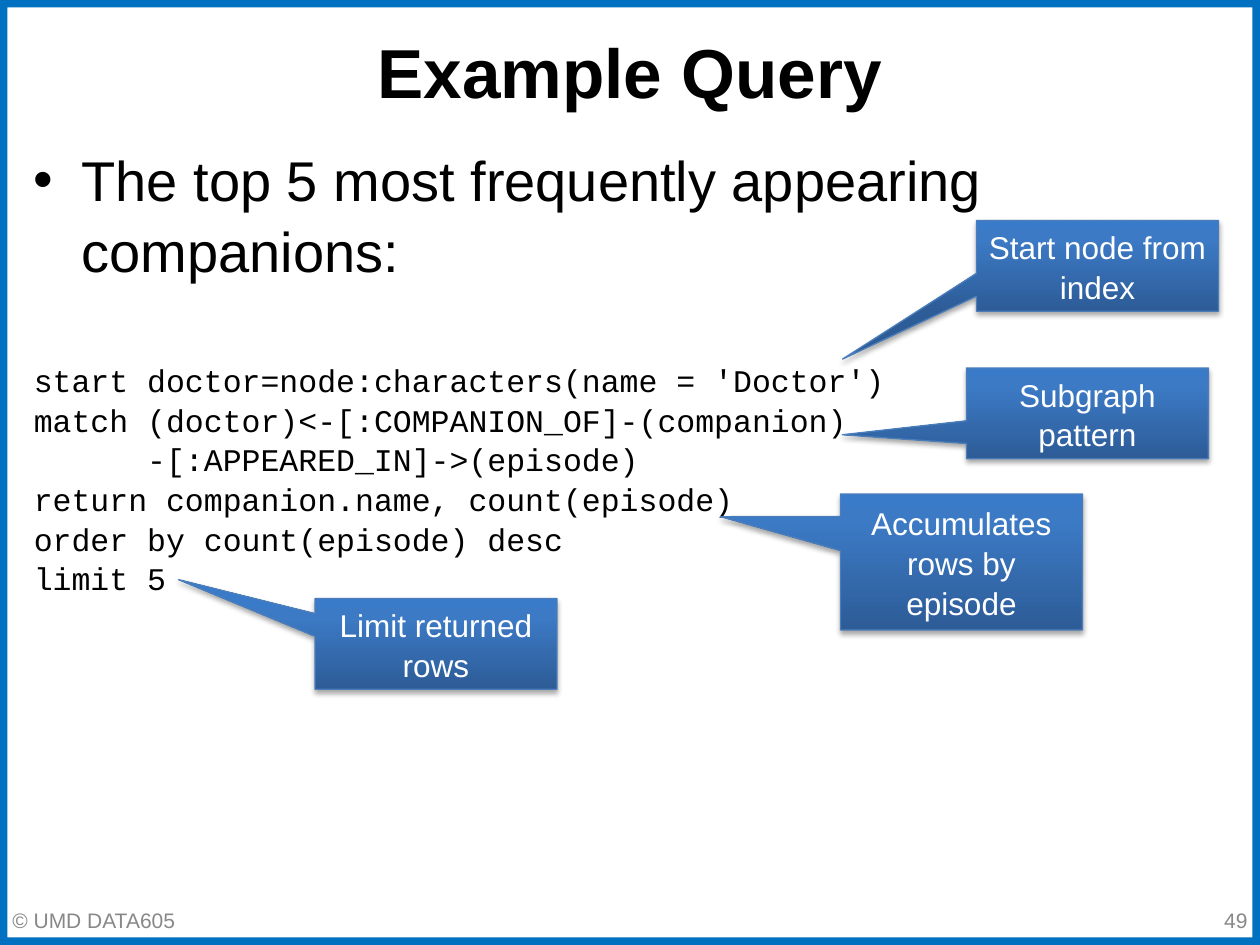
from lxml import etree
from pptx import Presentation
from pptx import util as u
from pptx.dml.color import RGBColor
from pptx.enum import shapes, text
from pptx.oxml import parse_xml
from pptx.oxml.ns import nsdecls, qn

WIDTH, HEIGHT = 10, 7.5
BLACK = RGBColor(0x00, 0x00, 0x00)
WHITE = RGBColor(0xFF, 0xFF, 0xFF)
GREY = RGBColor(0x88, 0x88, 0x88)
FRAME_BLUE = RGBColor(0x00, 0x70, 0xC0)
EDGE_BLUE = RGBColor(0x4A, 0x7D, 0xBA)
DEEP_BLUE = RGBColor(0x2D, 0x5C, 0x97)
MID_BLUE = RGBColor(0x3C, 0x7A, 0xC5)
TOP_BLUE = RGBColor(0x39, 0x7B, 0xC9)

LINE_SPACING = 1.05
CODE_SIZE = 18
CODE_CHAR = 0.6 * CODE_SIZE  # advance of one monospaced character, in points
ALIGN = text.PP_ALIGN

# (characters of indent, line)
QUERY = [
    (0, "start doctor=node:characters(name = 'Doctor')"),
    (0, "match (doctor)<-[:COMPANION_OF]-(companion)"),
    (6, "-[:APPEARED_IN]->(episode)"),
    (0, "return companion.name, count(episode)"),
    (0, "order by count(episode) desc"),
    (0, "limit 5"),
]

# (note, box, tip of the tail as shares of the box, from its centre)
CALLOUTS = [
    ("Start node from index", (7.75, 1.75, 1.92, 0.72), (-1.054, 1.028)),
    ("Subgraph pattern", (7.67, 2.92, 1.92, 0.72), (-1.013, 0.237)),
    ("Accumulates rows by episode", (6.67, 3.92, 1.92, 1.08), (-0.995, -0.333)),
    ("Limit returned rows", (2.5, 4.75, 1.92, 0.72), (-1.064, -0.708)),
]


def inches(box):
    return [u.Inches(length) for length in box]


def write(paragraph, words, size, color, font="Arial", align=ALIGN.LEFT, bold=False):
    paragraph.text = words
    paragraph.alignment = align
    paragraph.line_spacing = LINE_SPACING
    paragraph.font.name = font
    paragraph.font.size = u.Pt(size)
    paragraph.font.bold = bold
    paragraph.font.color.rgb = color


def text_frame(slide, box, anchor=text.MSO_ANCHOR.MIDDLE):
    frame = slide.shapes.add_textbox(*inches(box)).text_frame
    frame.word_wrap = True
    frame.vertical_anchor = anchor
    return frame


def add_border(slide, box):
    border = slide.shapes.add_shape(shapes.MSO_SHAPE.FRAME, *inches(box))
    border.adjustments[0] = 0.008
    border.fill.solid()
    border.fill.fore_color.rgb = FRAME_BLUE
    border.line.fill.background()
    border.shadow.inherit = False


def add_line(slide, box, words, size, color, align, bold=False):
    """Place one line of text, such as the title or a footer part."""
    write(text_frame(slide, box).paragraphs[0], words, size, color,
          align=align, bold=bold)


def add_body(slide, box):
    frame = text_frame(slide, box, text.MSO_ANCHOR.TOP)
    lead = frame.paragraphs[0]
    write(lead, "The top 5 most frequently appearing companions:", 32, BLACK)
    hanging = lead._p.get_or_add_pPr()
    hanging.set("marL", str(u.Inches(0.38)))
    hanging.set("indent", str(-u.Inches(0.38)))
    etree.SubElement(hanging, qn("a:buFont")).set("typeface", "Arial")
    etree.SubElement(hanging, qn("a:buChar")).set("char", "•")
    # The schema wants the default run properties after the bullet.
    hanging.append(hanging.find(qn("a:defRPr")))

    for number, (indent, words) in enumerate(QUERY):
        line = frame.add_paragraph()
        write(line, words, CODE_SIZE, BLACK, font="Courier New")
        line._p.get_or_add_pPr().set("marL", str(u.Pt(indent * CODE_CHAR)))
        if number == 0:
            line.space_before = u.Pt(2.4 * CODE_SIZE)


def shade(callout):
    """Give the callout its vertical gradient and soft shadow."""
    stops = "".join(
        f'<a:gs pos="{share * 1000}"><a:srgbClr val="{color}"/></a:gs>'
        for share, color in ((0, DEEP_BLUE), (80, MID_BLUE), (100, TOP_BLUE)))
    callout.fill.background()
    properties = callout._element.spPr
    properties.replace(properties.find(qn("a:noFill")), parse_xml(
        f'<a:gradFill {nsdecls("a")} rotWithShape="1"><a:gsLst>{stops}</a:gsLst>'
        f'<a:lin ang="{270 * 60000}" scaled="0"/></a:gradFill>'))
    callout.shadow.inherit = False
    properties.find(qn("a:effectLst")).append(parse_xml(
        f'<a:outerShdw {nsdecls("a")} blurRad="{u.Pt(3.1)}" dist="{u.Pt(1.8)}" '
        f'dir="{90 * 60000}" rotWithShape="0"><a:srgbClr val="{BLACK}">'
        '<a:alpha val="35000"/></a:srgbClr></a:outerShdw>'))


def add_callout(slide, box, note, tip):
    callout = slide.shapes.add_shape(
        shapes.MSO_SHAPE.RECTANGULAR_CALLOUT, *inches(box))
    callout.adjustments[0], callout.adjustments[1] = tip
    callout.line.color.rgb = EDGE_BLUE
    callout.line.width = u.Pt(0.75)
    shade(callout)
    callout.text_frame.word_wrap = True
    callout.text_frame.vertical_anchor = text.MSO_ANCHOR.MIDDLE
    write(callout.text_frame.paragraphs[0], note, 18, WHITE, align=ALIGN.CENTER)


def main():
    deck = Presentation()
    deck.slide_width, deck.slide_height = inches((WIDTH, HEIGHT))
    slide = deck.slides.add_slide(deck.slide_layouts[6])

    margin, footer_top = 0.17, 7.1
    inner = WIDTH - 2 * margin
    add_border(slide, (0, 0, WIDTH, HEIGHT))
    add_line(slide, (0, footer_top, 1.6, 0.4), "© UMD DATA605", 12, GREY, ALIGN.LEFT)
    add_line(slide, (margin, margin, inner, 0.75), "Example Query", 39.6, BLACK,
             ALIGN.CENTER, bold=True)
    add_body(slide, (margin, 1.08, inner, 5.75))
    for note, box, tip in CALLOUTS:
        add_callout(slide, box, note, tip)
    add_line(slide, (7.67, footer_top, 2.33, 0.4), "49", 12, GREY, ALIGN.RIGHT)
    deck.save("out.pptx")


if __name__ == "__main__":
    main()
